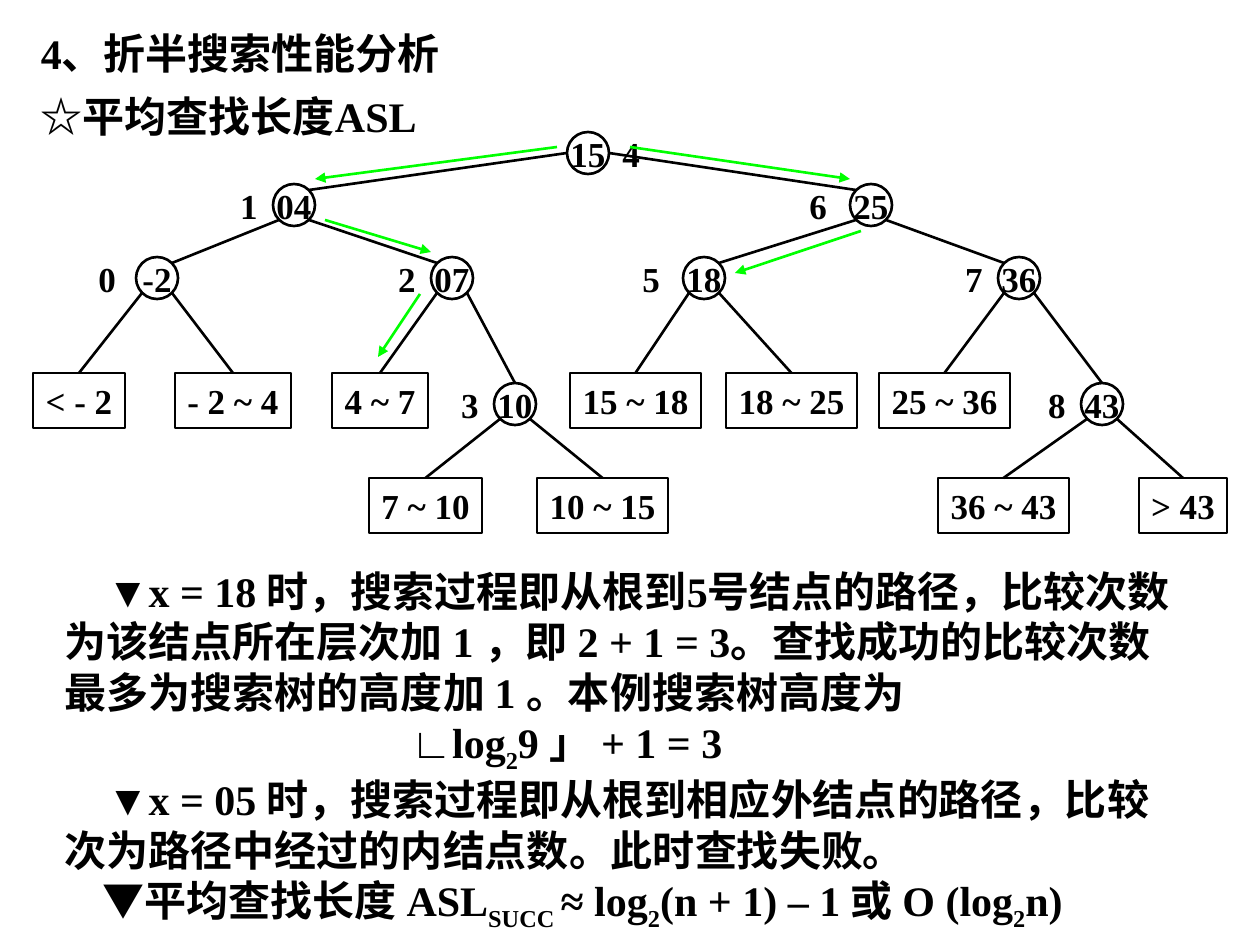
from lxml.etree import SubElement
from pptx import Presentation
from pptx.dml.color import RGBColor
from pptx.enum.shapes import MSO_CONNECTOR, MSO_SHAPE
from pptx.enum.text import MSO_ANCHOR, MSO_AUTO_SIZE, PP_ALIGN
from pptx.oxml.ns import qn
from pptx.util import Emu, Pt

PX = 914400 / 126
FONT = "Times New Roman"
COLORS = {"ink": "000000", "path": "00FF00"}
NODE = 42          # circle diameter
DIAGONAL = 15      # circle centre to its 45° point, along each axis
LEAF_HEIGHT = 55

# key: (index, left, top, index distance from the circle's centre)
NODES = {
    "15": ("4", 534, 0, 43),
    "25": ("6", 817, 52, -53),
    "36": ("7", 965, 125, -45),
    "43": ("8", 1048, 251, -45),
    "04": ("1", 240, 52, -45),
    "10": ("3", 461, 251, -45),
    "-2": ("0", 103, 125, -50),
    "07": ("2", 398, 125, -45),
    "18": ("5", 650, 125, -53),
}
# range: (left, top, width)
LEAVES = {
    "< - 2": (0, 241, 92),
    "- 2 ~ 4": (142, 241, 116),
    "4 ~ 7": (299, 241, 96),
    "15 ~ 18": (537, 241, 131),
    "18 ~ 25": (693, 241, 131),
    "25 ~ 36": (846, 241, 131),
    "7 ~ 10": (336, 346, 113),
    "10 ~ 15": (504, 346, 131),
    "36 ~ 43": (905, 346, 131),
    "> 43": (1106, 346, 88),
}
# parent: (left child, right child)
CHILDREN = {
    "15": ("04", "25"),
    "04": ("-2", "07"),
    "25": ("18", "36"),
    "-2": ("< - 2", "- 2 ~ 4"),
    "07": ("4 ~ 7", "10"),
    "18": ("15 ~ 18", "18 ~ 25"),
    "36": ("25 ~ 36", "43"),
    "10": ("7 ~ 10", "10 ~ 15"),
    "43": ("36 ~ 43", "> 43"),
}
SEARCH_PATHS = [
    (597, 15, 817, 47), (828, 99, 702, 141),                         # x = 18
    (524, 15, 282, 47), (292, 88, 398, 120), (387, 162, 345, 225),   # x = 05
]
# (text with subscripts between bars, first-line indent)
ANALYSIS = [
    ("▼x = 18 时，搜索过程即从根到5号结点的路径，比较次数为该结点所在层次加 1 ，"
     "即 2 + 1 = 3。查找成功的比较次数最多为搜索树的高度加 1 。本例搜索树高度为", 42),
    ("∟log|2|9 」 + 1 = 3", 346),
    ("▼x = 05 时，搜索过程即从根到相应外结点的路径，"
     "比较次为路径中经过的内结点数。此时查找失败。", 42),
    ("▼平均查找长度 ASL|SUCC |≈ log|2|(n + 1) – 1 或 O (log|2|n)", 38),
]


def px(length):
    return Emu(round(length * PX))


def color(name):
    return RGBColor.from_string(COLORS[name])


def move(holder, left, top, width, height):
    holder.left, holder.top = px(left), px(top)
    holder.width, holder.height = px(width), px(height)


def write(holder, *paragraphs, size=24, align=PP_ALIGN.LEFT, anchor=MSO_ANCHOR.TOP,
          wrap=False, grow=False, side_margin=13):
    """Fill a shape with (text, first-line indent) paragraphs."""
    frame = holder.text_frame
    frame.word_wrap = wrap
    frame.vertical_anchor = anchor
    frame.margin_left = frame.margin_right = px(side_margin)
    frame.auto_size = MSO_AUTO_SIZE.SHAPE_TO_FIT_TEXT if grow else MSO_AUTO_SIZE.NONE
    for number, (text, indent) in enumerate(paragraphs):
        paragraph = frame.add_paragraph() if number else frame.paragraphs[0]
        properties = paragraph._p.get_or_add_pPr()
        properties.set("marL", "0")
        properties.set("indent", str(px(indent)))
        SubElement(properties, qn("a:buNone"))
        paragraph.alignment = align
        paragraph.space_before = Pt(0)
        for part, words in enumerate(text.split("|")):
            run = paragraph.add_run()
            run.text = words
            run.font.name, run.font.size, run.font.bold = FONT, Pt(size), True
            run.font.color.rgb = color("ink")
            if part % 2:
                run._r.get_or_add_rPr().set("baseline", "-25000")


def add_outline(slide, kind, left, top, width, height):
    outline = slide.shapes.add_shape(kind, px(left), px(top), px(width), px(height))
    outline.shadow.inherit = False
    outline.fill.background()
    outline.line.color.rgb = color("ink")
    outline.line.width = Pt(1.5)
    return outline


def add_line(slide, x1, y1, x2, y2, shade="ink", arrow=False):
    line = slide.shapes.add_connector(MSO_CONNECTOR.STRAIGHT, px(x1), px(y1), px(x2), px(y2))
    line.line.color.rgb = color(shade)
    line.line.width = Pt(1.5)
    if arrow:
        SubElement(line.line._get_or_add_ln(), qn("a:tailEnd"), type="triangle")
    SubElement(line._element.spPr, qn("a:effectLst"))
    return line


def add_headings(slide, left, top, width, height):
    title = slide.shapes.title
    move(title, left, top, width, height)
    write(title, ("4、折半搜索性能分析", 0), wrap=True)
    subtitle = slide.shapes.add_textbox(px(left), px(top + height), px(width), px(height))
    write(subtitle, ("☆平均查找长度ASL", 0), wrap=True)


def add_tree(slide, left, top):
    middle = {"size": 20, "align": PP_ALIGN.CENTER, "anchor": MSO_ANCHOR.MIDDLE}
    placed, centers = {}, {}

    # Inner nodes with their indices
    for key, (index, x, y, offset) in NODES.items():
        x, y = left + x, top + y
        centers[key] = x + NODE // 2, y + NODE // 2
        placed[key] = add_outline(slide, MSO_SHAPE.OVAL, x, y, NODE, NODE)
        write(placed[key], (key, 0), **middle)
        label = slide.shapes.add_textbox(px(x + offset), px(y), px(NODE), px(NODE))
        write(label, (index, 0), **middle)

    # Outer nodes
    for span, (x, y, width) in LEAVES.items():
        placed[span] = add_outline(slide, MSO_SHAPE.RECTANGLE, left + x, top + y,
                                   width, LEAF_HEIGHT)
        write(placed[span], (span, 0), wrap=True, side_margin=0, **middle)

    # Branches: the root leaves sideways, lower nodes diagonally
    for parent, children in CHILDREN.items():
        for side, child in zip((-1, 1), children):
            x, y = centers[parent]
            if parent == "15":
                start = x + side * NODE // 2, y
            else:
                start = x + side * DIAGONAL, y + DIAGONAL
            if child in LEAVES or child in ("10", "43"):
                add_line(slide, *start, *start).end_connect(placed[child], 0)
            else:
                x, y = centers[child]
                add_line(slide, *start, x - side * DIAGONAL, y - DIAGONAL)

    # Search paths
    for x1, y1, x2, y2 in SEARCH_PATHS:
        add_line(slide, left + x1, top + y1, left + x2, top + y2, "path", arrow=True)


def add_analysis(slide, left, top, width, height):
    analysis = slide.placeholders[1]
    move(analysis, left, top, width, height)
    write(analysis, *ANALYSIS, wrap=True, grow=True)


def main():
    deck = Presentation()
    deck.slide_width, deck.slide_height = px(1260), px(945)
    slide = deck.slides.add_slide(deck.slide_layouts[1])
    add_headings(slide, 28, 21, 470, 63)
    add_tree(slide, 33, 132)
    add_analysis(slide, 52, 559, 1134, 379)
    deck.save("out.pptx")


if __name__ == "__main__":
    main()
